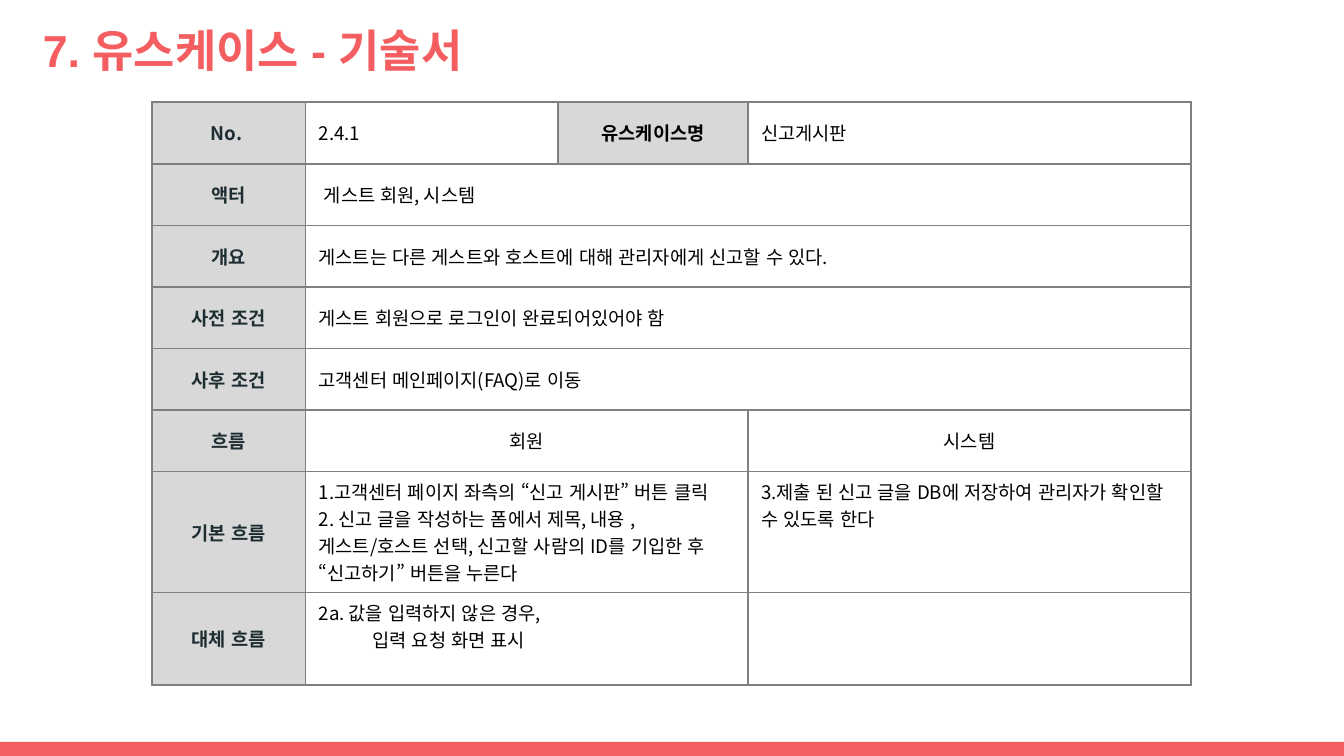
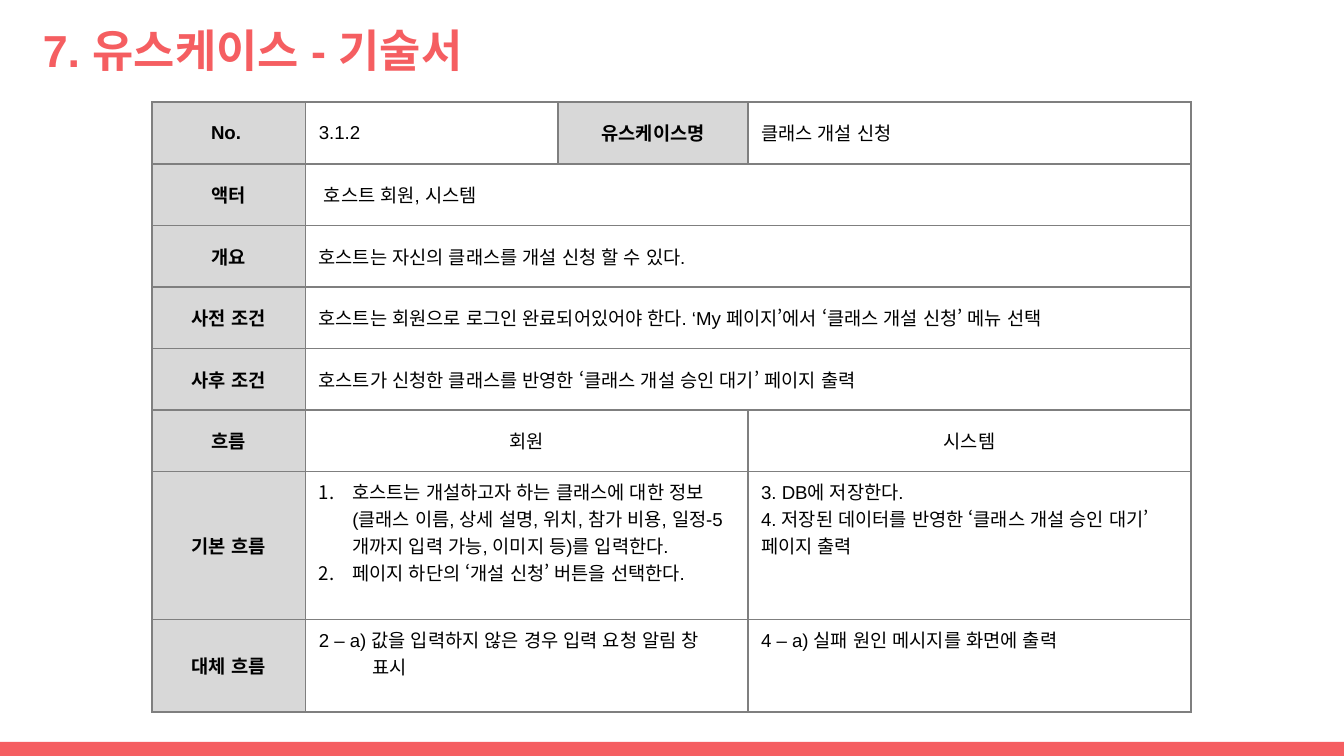
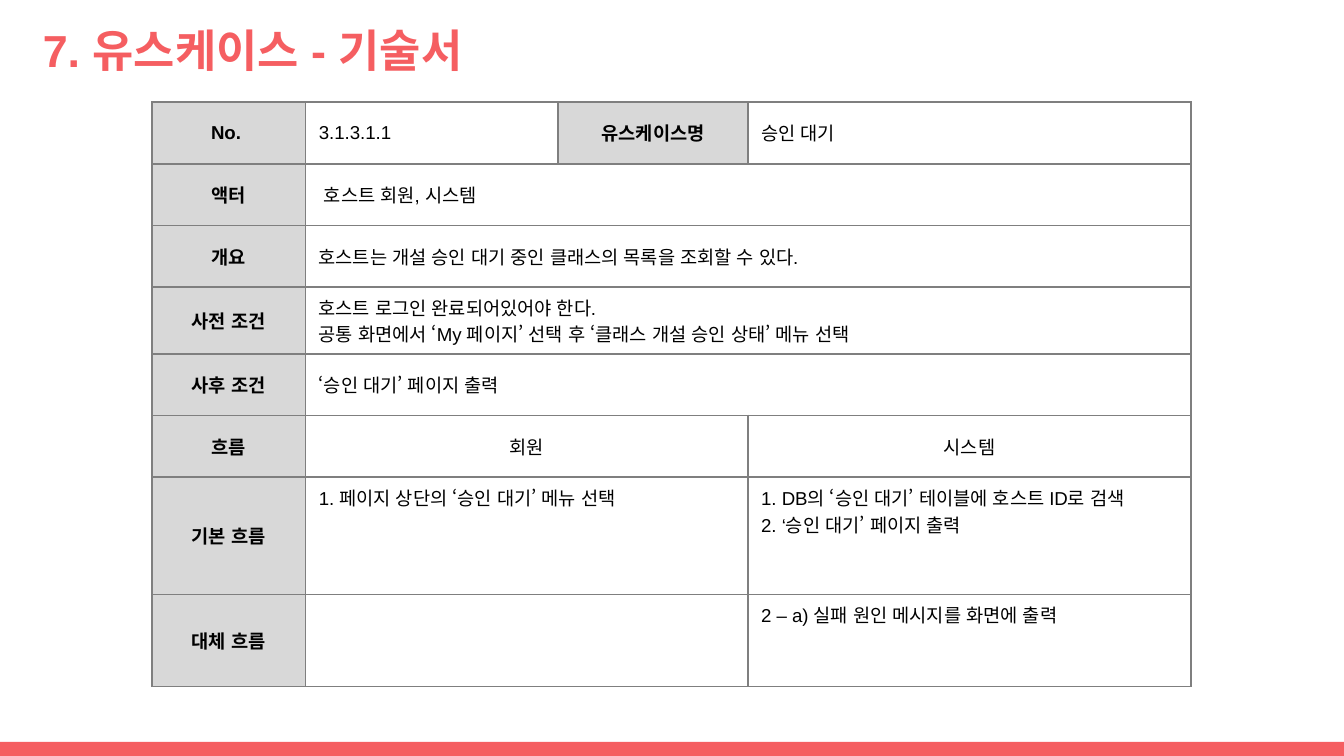
"""Build three use case description slides, each with a title, a table and a footer band."""
from dataclasses import dataclass

import lxml.etree
import pptx
import pptx.dml.color
import pptx.enum.lang
import pptx.enum.shapes
import pptx.enum.text
import pptx.oxml.ns
import pptx.presentation
import pptx.slide
import pptx.table
import pptx.text.text
import pptx.util

COLORS = {
    "accent": "F55E61",
    "label_fill": "D8D8D8",
    "border": "7F7F7F",
    "text": "000000",
    "slate": "1E2D31",
}
LATIN_FONT = "Arial"
KOREAN_FONT = "Noto Sans CJK KR"
KOREAN = pptx.enum.lang.MSO_LANGUAGE_ID.KOREAN
TITLE = "7. 유스케이스 - 기술서"
SLIDE_WIDTH = pptx.util.Inches(10)
SLIDE_HEIGHT = pptx.util.Inches(5.625)
COLUMN_SHARES = (11.42, 18.82, 14.1, 33)
ROW_SHARE = 8.15
FLOW_SHARE = 15.52
ALTERNATIVE_SHARE = 12.22
LABELS = ("No. ", "액터", "개요", "사전 조건", "사후 조건", "흐름", "기본 흐름", "대체 흐름")
CENTER = pptx.enum.text.PP_ALIGN.CENTER
MIDDLE = pptx.enum.text.MSO_ANCHOR.MIDDLE
TOP = pptx.enum.text.MSO_ANCHOR.TOP


@dataclass(frozen=True)
class Area:
    """A rectangle in percent of the slide's width and height."""

    left: float
    top: float
    width: float
    height: float

    def lengths(self) -> tuple[int, int, int, int]:
        """Return left, top, width and height as slide lengths."""
        return (across(self.left), down(self.top), across(self.width), down(self.height))


@dataclass(frozen=True)
class TextStyle:
    """The look of the paragraphs in one place."""

    size: float = 10
    font: str = LATIN_FONT
    color: str = "text"
    bold: bool = False
    centered: bool = False
    hanging: float = 0
    numbered: bool = False


@dataclass(frozen=True)
class UseCase:
    """The content of one use case table."""

    number: str
    name: str
    details: tuple[str, str, str, str]
    member_flow: str
    system_flow: str
    member_alternative: str = ""
    system_alternative: str = ""
    font: str = LATIN_FONT
    label_color: str = "text"
    numbered_flow: bool = False
    precondition_share: float = ROW_SHARE
    flow_share: float = FLOW_SHARE

    def row_shares(self) -> tuple[float, ...]:
        """Return the height of every table row in percent of the slide."""
        return (
            *(ROW_SHARE,) * 3,
            self.precondition_share,
            *(ROW_SHARE,) * 2,
            self.flow_share,
            ALTERNATIVE_SHARE,
        )


TITLE_AREA = Area(2.2, 1.24, 93.2, 10.67)
BAND_AREA = Area(0, 98.13, 100, 1.87)
TABLE_LEFT = 11.3
TABLE_TOP = 13.51
TITLE_STYLE = TextStyle(size=24, color="accent", bold=True)

USE_CASES = (
    UseCase(
        number="2.4.1",
        name="신고게시판",
        details=(
            " 게스트 회원, 시스템",
            "게스트는 다른 게스트와 호스트에 대해 관리자에게 신고할 수 있다.",
            "게스트 회원으로 로그인이 완료되어있어야 함",
            "고객센터 메인페이지(FAQ)로 이동",
        ),
        member_flow="1.고객센터 페이지 좌측의 “신고 게시판” 버튼 클릭\n"
        "2. 신고 글을 작성하는 폼에서 제목, 내용 , 게스트/호스트 선택, "
        "신고할 사람의 ID를 기입한 후 “신고하기” 버튼을 누른다",
        system_flow="3.제출 된 신고 글을 DB에 저장하여 관리자가 확인할 수 있도록 한다",
        member_alternative="2a. 값을 입력하지 않은 경우, \v입력 요청 화면 표시",
        font=KOREAN_FONT,
        label_color="slate",
        flow_share=16,
    ),
    UseCase(
        number="3.1.2",
        name="클래스 개설 신청",
        details=(
            " 호스트 회원, 시스템",
            "호스트는 자신의 클래스를 개설 신청 할 수 있다.",
            "호스트는 회원으로 로그인 완료되어있어야 한다. "
            "‘My 페이지’에서 ‘클래스 개설 신청’ 메뉴 선택",
            "호스트가 신청한 클래스를 반영한 ‘클래스 개설 승인 대기’ 페이지 출력",
        ),
        member_flow="호스트는 개설하고자 하는 클래스에 대한 정보(클래스 이름, 상세 설명, "
        "위치, 참가 비용, 일정-5개까지 입력 가능, 이미지 등)를 입력한다.\n"
        "페이지 하단의 ‘개설 신청’ 버튼을 선택한다.",
        system_flow="3. DB에 저장한다.\n"
        "4. 저장된 데이터를 반영한 ‘클래스 개설 승인 대기’ 페이지 출력",
        member_alternative="2 – a) 값을 입력하지 않은 경우 입력 요청 알림 창 표시",
        system_alternative="4 – a) 실패 원인 메시지를 화면에 출력",
        numbered_flow=True,
        flow_share=19.58,
    ),
    UseCase(
        number="3.1.3.1.1",
        name="승인 대기",
        details=(
            " 호스트 회원, 시스템",
            "호스트는 개설 승인 대기 중인 클래스의 목록을 조회할 수 있다.",
            "호스트 로그인 완료되어있어야 한다.\n"
            "공통 화면에서 ‘My 페이지’ 선택 후 ‘클래스 개설 승인 상태’ 메뉴 선택",
            "‘승인 대기’ 페이지 출력",
        ),
        member_flow="1. 페이지 상단의 ‘승인 대기’ 메뉴 선택",
        system_flow="1. DB의 ‘승인 대기’ 테이블에 호스트 ID로 검색\n2. ‘승인 대기’ 페이지 출력",
        system_alternative="2 – a) 실패 원인 메시지를 화면에 출력",
        precondition_share=8.86,
    ),
)


def across(share: float) -> int:
    """Turn a percentage of the slide's width into a length."""
    return round(SLIDE_WIDTH * share / 100)


def down(share: float) -> int:
    """Turn a percentage of the slide's height into a length."""
    return round(SLIDE_HEIGHT * share / 100)


def color(name: str) -> pptx.dml.color.RGBColor:
    """Look up a named colour."""
    return pptx.dml.color.RGBColor.from_string(COLORS[name])


def add_child(parent: lxml.etree._Element, tag: str, **attributes: str) -> lxml.etree._Element:
    """Append a drawing element with its attributes."""
    return lxml.etree.SubElement(parent, pptx.oxml.ns.qn(f"a:{tag}"), attributes)


def style_paragraph(paragraph: pptx.text.text._Paragraph, style: TextStyle) -> None:
    """Apply a text style to one paragraph."""
    font = paragraph.font
    font.size = pptx.util.Pt(style.size)
    font.bold = style.bold
    font.color.rgb = color(style.color)
    font.name = style.font
    font._rPr.set("kern", "0")
    add_child(font._rPr, "ea", typeface=KOREAN_FONT)
    for run in paragraph.runs:
        run.font.language_id = KOREAN
    if style.centered:
        paragraph.alignment = CENTER
    properties = paragraph._p.get_or_add_pPr()
    if style.hanging:
        indent = pptx.util.Inches(style.hanging)
        properties.set("marL", str(indent))
        properties.set("indent", str(-indent))
    if style.numbered:
        bullet_color = add_child(properties, "buClr")
        add_child(bullet_color, "srgbClr", val=COLORS[style.color])
        bullet_font = add_child(properties, "buFont", typeface=KOREAN_FONT)
        numbering = add_child(properties, "buAutoNum", type="arabicPeriod")
        for position, element in enumerate((bullet_color, bullet_font, numbering)):
            properties.insert(position, element)


def write_text(frame: pptx.text.text.TextFrame, text: str, style: TextStyle) -> None:
    """Fill a text frame, one paragraph a line."""
    frame.text = text
    for paragraph in frame.paragraphs:
        style_paragraph(paragraph, style)


def write_cell(cell: pptx.table._Cell, text: str, style: TextStyle, anchor=MIDDLE) -> None:
    """Write styled text into a table cell."""
    write_text(cell.text_frame, text, style)
    cell.vertical_anchor = anchor


def write_label(cell: pptx.table._Cell, text: str, style: TextStyle) -> None:
    """Write a heading on a shaded cell."""
    write_cell(cell, text, style)
    cell.fill.solid()
    cell.fill.fore_color.rgb = color("label_fill")


def outline_cell(cell: pptx.table._Cell) -> None:
    """Draw the four borders of a cell."""
    properties = cell._tc.get_or_add_tcPr()
    for position, side in enumerate(("lnL", "lnR", "lnT", "lnB")):
        line = add_child(properties, side, w=str(pptx.util.Pt(1)))
        add_child(add_child(line, "solidFill"), "srgbClr", val=COLORS["border"])
        properties.insert(position, line)


def add_grid(slide: pptx.slide.Slide, row_shares: tuple[float, ...]) -> pptx.table.Table:
    """Add the empty bordered table with its merged cells."""
    area = Area(TABLE_LEFT, TABLE_TOP, sum(COLUMN_SHARES), sum(row_shares))
    frame = slide.shapes.add_table(len(row_shares), len(COLUMN_SHARES), *area.lengths())
    table = frame.table
    table.first_row = table.horz_banding = False
    for column, share in zip(table.columns, COLUMN_SHARES):
        column.width = across(share)
    for row, share in zip(table.rows, row_shares):
        row.height = down(share)
    for cell in table.iter_cells():
        cell.fill.background()
        outline_cell(cell)
    for row in range(1, len(row_shares)):
        table.cell(row, 1).merge(table.cell(row, 3 if row < 5 else 2))
    return table


def add_use_case_table(slide: pptx.slide.Slide, case: UseCase) -> None:
    """Add the table describing one use case."""
    table = add_grid(slide, case.row_shares())
    label = TextStyle(font=case.font, color=case.label_color, bold=True, centered=True)
    name_label = TextStyle(font=case.font, bold=True, centered=True)
    body = TextStyle(font=case.font)
    heading = TextStyle(font=case.font, centered=True)
    alternative = TextStyle(font=case.font, hanging=0.4)
    numbered = TextStyle(font=case.font, hanging=0.25, numbered=True)

    for row, text in enumerate(LABELS):
        write_label(table.cell(row, 0), text, label)
    write_label(table.cell(0, 2), "유스케이스명", name_label)
    write_cell(table.cell(0, 1), case.number, body)
    write_cell(table.cell(0, 3), case.name, body)
    for row, text in enumerate(case.details, start=1):
        write_cell(table.cell(row, 1), text, body)
    write_cell(table.cell(5, 1), "회원", heading)
    write_cell(table.cell(5, 3), "시스템", heading)
    write_cell(table.cell(6, 1), case.member_flow, numbered if case.numbered_flow else body, TOP)
    write_cell(table.cell(6, 3), case.system_flow, body, TOP)
    write_cell(table.cell(7, 1), case.member_alternative, alternative, TOP)
    write_cell(table.cell(7, 3), case.system_alternative, alternative, TOP)


def add_band(slide: pptx.slide.Slide) -> None:
    """Add the coloured band along the bottom edge."""
    rectangle = pptx.enum.shapes.MSO_SHAPE.RECTANGLE
    band = slide.shapes.add_shape(rectangle, *BAND_AREA.lengths())
    band.shadow.inherit = False
    band.fill.solid()
    band.fill.fore_color.rgb = color("accent")
    band.line.fill.background()


def add_title(slide: pptx.slide.Slide) -> None:
    """Add the slide title."""
    frame = slide.shapes.add_textbox(*TITLE_AREA.lengths()).text_frame
    frame.word_wrap = True
    frame.vertical_anchor = MIDDLE
    frame.margin_top = frame.margin_bottom = pptx.util.Inches(0.1)
    write_text(frame, TITLE, TITLE_STYLE)


def add_use_case_slide(presentation: pptx.presentation.Presentation, case: UseCase) -> None:
    """Add one complete use case slide."""
    slide = presentation.slides.add_slide(presentation.slide_layouts[6])
    add_band(slide)
    add_title(slide)
    add_use_case_table(slide, case)


def main() -> None:
    """Build and save the presentation."""
    presentation = pptx.Presentation()
    presentation.slide_width = SLIDE_WIDTH
    presentation.slide_height = SLIDE_HEIGHT
    for case in USE_CASES:
        add_use_case_slide(presentation, case)
    presentation.save("out.pptx")


if __name__ == "__main__":
    main()
